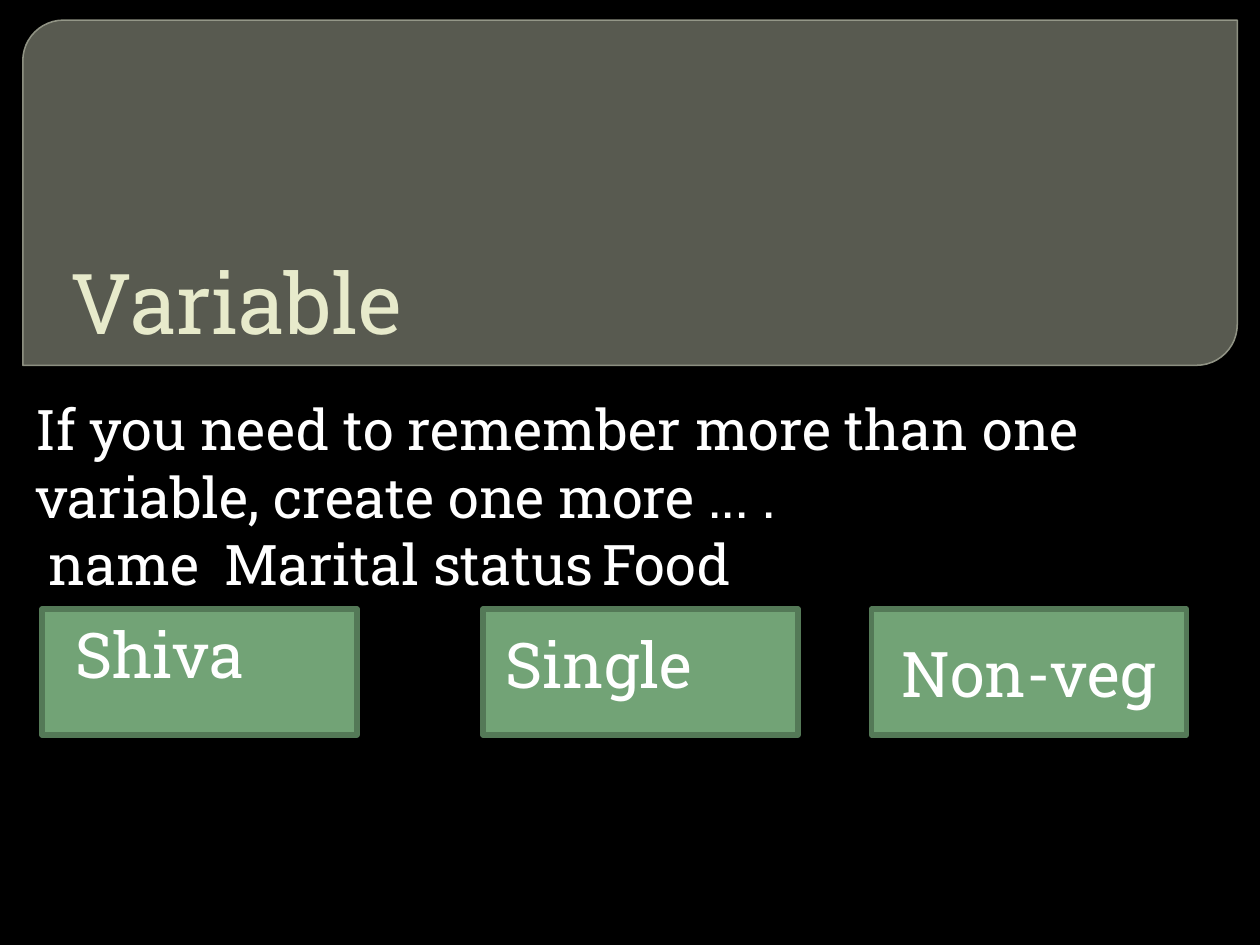
import pptx
import pptx.dml.color
import pptx.enum.shapes
import pptx.enum.text
import pptx.oxml.ns
import pptx.util
import lxml.etree

Pt = pptx.util.Pt
RGBColor = pptx.dml.color.RGBColor
Shapes = pptx.enum.shapes.MSO_SHAPE
Anchor = pptx.enum.text.MSO_ANCHOR
Align = pptx.enum.text.PP_ALIGN
AutoSize = pptx.enum.text.MSO_AUTO_SIZE
qn = pptx.oxml.ns.qn

FONT = "Roboto Slab"
BLACK = RGBColor(0x00, 0x00, 0x00)
WHITE = RGBColor(0xFF, 0xFF, 0xFF)
CREAM = RGBColor(0xE7, 0xEA, 0xCB)
PANEL_FILL = RGBColor(0x88, 0x8B, 0x7B)
PANEL_LINE = RGBColor(0x9D, 0xA0, 0x90)
GREEN = RGBColor(0x72, 0xA3, 0x76)
DARK_GREEN = RGBColor(0x54, 0x79, 0x57)


def place(item, box):
    item.left, item.top, item.width, item.height = [Pt(length) for length in box]


def set_alpha(fill_format, percent):
    color = fill_format._xPr.find(".//" + qn("a:srgbClr"))
    lxml.etree.SubElement(color, qn("a:alpha")).set("val", str(percent * 1000))


def add_shape(page, kind, box, fill, line, line_width):
    shape = page.shapes.add_shape(kind, *[Pt(length) for length in box])
    shape.shadow.inherit = False
    shape.fill.solid()
    shape.fill.fore_color.rgb = fill
    shape.line.color.rgb = line
    shape.line.width = Pt(line_width)
    return shape


def write(para, text, size, color, align=Align.LEFT):
    para.alignment = align
    para.space_before = Pt(0)
    span = para.add_run()
    span.text = text
    span.font.name = FONT
    span.font.size = Pt(size)
    span.font.color.rgb = color


def set_frame(frame, anchor, right_inset=7.2):
    frame.word_wrap = True
    frame.auto_size = AutoSize.NONE
    frame.vertical_anchor = anchor
    frame.margin_left = Pt(3.6)
    frame.margin_top = frame.margin_bottom = Pt(3.6)
    frame.margin_right = Pt(right_inset)


def add_header(page, box):
    left, top, width, height = box
    panel = add_shape(page, Shapes.ROUND_2_DIAG_RECTANGLE, box,
                      PANEL_FILL, PANEL_LINE, 0.87)
    panel.adjustments[0] = 0.118
    panel.adjustments[1] = 0
    set_alpha(panel.fill, 65)
    set_alpha(panel.line.fill, 88)

    title = page.shapes.title
    title.element.addprevious(panel.element)
    place(title, (left + 23.7, top + 18.7, 648, 174.2))
    set_frame(title.text_frame, Anchor.BOTTOM, 18)
    write(title.text_frame.paragraphs[0], "Variable", 48, CREAM)


def add_body(page, box):
    body = page.placeholders[1]
    place(body, box)
    frame = body.text_frame
    set_frame(frame, Anchor.TOP, 19.4)
    write(frame.paragraphs[0],
          "If you need to remember more than one variable, create one more ... .",
          32, WHITE)

    labels = frame.add_paragraph()
    write(labels, "name\tMarital status\tFood", 32, WHITE)
    properties = labels._p.get_or_add_pPr()
    properties.set("marL", "0")
    properties.set("indent", str(Pt(7.5)))
    tabs = lxml.etree.SubElement(properties, qn("a:tabLst"))
    for position in (261, 495):
        tab = lxml.etree.SubElement(tabs, qn("a:tab"))
        tab.set("pos", str(Pt(position)))
        tab.set("algn", "l")


def add_value_box(page, box, value, text_box=None):
    cell = add_shape(page, Shapes.RECTANGLE, box, GREEN, DARK_GREEN, 3)
    if text_box is None:
        frame = cell.text_frame
        frame.word_wrap = True
        frame.vertical_anchor = Anchor.MIDDLE
        align = Align.CENTER
    else:
        frame = page.shapes.add_textbox(*[Pt(length) for length in text_box]).text_frame
        frame.word_wrap = True
        frame.auto_size = AutoSize.SHAPE_TO_FIT_TEXT
        align = Align.LEFT
    write(frame.paragraphs[0], value, 36, WHITE, align)


def main():
    deck = pptx.Presentation()
    deck.slide_width, deck.slide_height = Pt(720), Pt(540)
    page = deck.slides.add_slide(deck.slide_layouts[0])
    page.background.fill.solid()
    page.background.fill.fore_color.rgb = BLACK

    add_header(page, (13, 11.5, 694, 197.3))
    add_body(page, (16.5, 222, 667.5, 288))

    values = [
        (24, "Shiva", (36, 348, 156, 51)),
        (276, "Single", (282, 354, 168, 51)),
        (498, "Non-veg", None),
    ]
    for left, value, text_box in values:
        add_value_box(page, (left, 348, 180, 72), value, text_box)

    deck.save("out.pptx")


if __name__ == "__main__":
    main()
